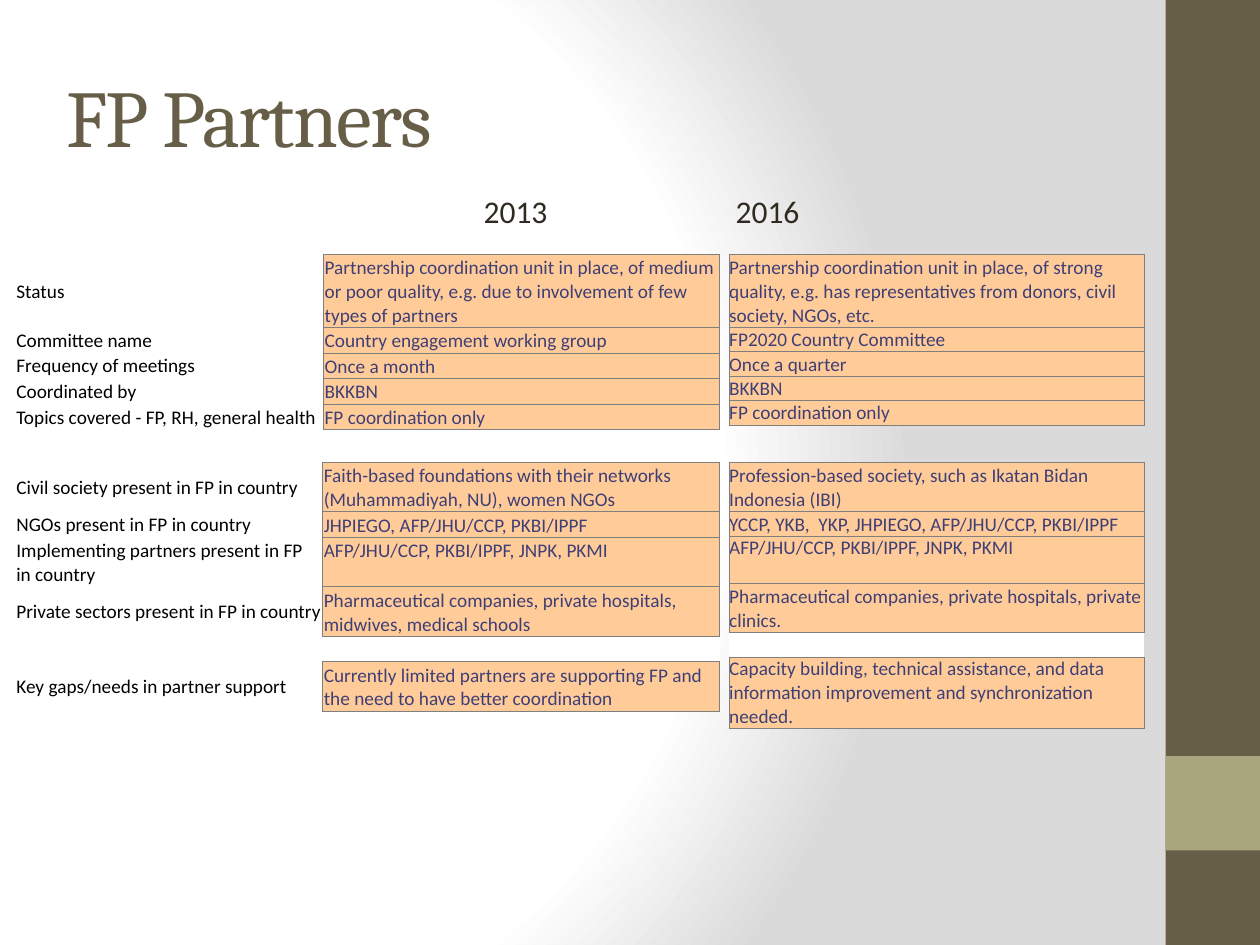
from dataclasses import dataclass

from lxml import etree
from pptx import Presentation
from pptx.dml.color import RGBColor
from pptx.enum.shapes import MSO_SHAPE
from pptx.enum.text import MSO_ANCHOR
from pptx.util import Pt

RECT = MSO_SHAPE.RECTANGLE
TOP, MIDDLE, BOTTOM = MSO_ANCHOR.TOP, MSO_ANCHOR.MIDDLE, MSO_ANCHOR.BOTTOM
NS_A = "http://schemas.openxmlformats.org/drawingml/2006/main"
NS_P = "http://schemas.openxmlformats.org/presentationml/2006/main"
NO_STYLE = "{2D5ABB26-0587-4C30-8999-92F81FD0307C}"


@dataclass(frozen=True)
class Theme:
    heading: str = "Cambria"
    body: str = "Calibri"
    title_size: float = 46
    year_size: float = 18
    cell_size: float = 11
    brown: str = "675E47"
    olive: str = "A9A57C"
    dark: str = "2F2B20"
    label: str = "000000"
    answer: str = "3F3F76"
    peach: str = "FFCC99"
    white: str = "FFFFFF"
    grey: str = "DADADA"
    border: str = "7F7F7F"


T = Theme()

# Each row: label, 2013 answer, 2016 answer; None is the gap row
COORDINATION = [
    ("Status",
     "Partnership coordination unit in place, of medium or poor quality, "
     "e.g. due to involvement of few types of partners",
     "Partnership coordination unit in place, of strong quality, "
     "e.g. has representatives from donors, civil society, NGOs, etc."),
    ("Committee name", "Country engagement working group", "FP2020 Country Committee"),
    ("Frequency of meetings", "Once a month", "Once a quarter"),
    ("Coordinated by", "BKKBN", "BKKBN"),
    ("Topics covered - FP, RH, general health",
     "FP coordination only", "FP coordination only"),
]
PARTNERS = [
    ("Civil society present in FP in country",
     "Faith-based foundations with their networks (Muhammadiyah, NU), women NGOs",
     "Profession-based society, such as Ikatan Bidan Indonesia (IBI)"),
    ("NGOs present in FP in country",
     "JHPIEGO, AFP/JHU/CCP, PKBI/IPPF",
     "YCCP, YKB,  YKP, JHPIEGO, AFP/JHU/CCP, PKBI/IPPF"),
    ("Implementing partners present in FP in country",
     "AFP/JHU/CCP, PKBI/IPPF, JNPK, PKMI",
     "AFP/JHU/CCP, PKBI/IPPF, JNPK, PKMI"),
    ("Private sectors present in FP in country",
     "Pharmaceutical companies, private hospitals, midwives, medical schools",
     "Pharmaceutical companies, private hospitals, private clinics."),
    (None, None, None),
    ("Key gaps/needs in partner support",
     "Currently limited partners are supporting FP and the need to have better coordination",
     "Capacity building, technical assistance, and data information "
     "improvement and synchronization needed."),
]
TOP_ALIGNED_ROW = PARTNERS[2]


def rgb(color):
    return RGBColor.from_string(color)


def set_background(s):
    stops = "".join(
        f'<a:gs pos="{pos * 1000}"><a:srgbClr val="{color}"/></a:gs>'
        for pos, color in ((0, T.white), (75, T.white), (100, T.grey)))
    bg = etree.fromstring(
        f'<p:bg xmlns:p="{NS_P}" xmlns:a="{NS_A}"><p:bgPr><a:gradFill rotWithShape="1">'
        f'<a:gsLst>{stops}</a:gsLst><a:path path="circle">'
        '<a:fillToRect l="20000" t="50000" r="100000" b="50000"/></a:path>'
        '</a:gradFill><a:effectLst/></p:bgPr></p:bg>')
    s._element.cSld.insert(0, bg)


def add_block(s, x, y, w, h, color):
    sp = s.shapes.add_shape(RECT, Pt(x), Pt(y), Pt(w), Pt(h))
    sp.shadow.inherit = False
    sp.fill.solid()
    sp.fill.fore_color.rgb = rgb(color)
    sp.line.fill.background()


def add_run(p, text, font, size, color):
    r = p.add_run()
    r.text = text
    r.font.name, r.font.size = font, Pt(size)
    r.font.color.rgb = rgb(color)
    return r


def add_text(s, x, y, w, h, text, font, size, color, anchor=TOP):
    tf = s.shapes.add_textbox(Pt(x), Pt(y), Pt(w), Pt(h)).text_frame
    tf.word_wrap = True
    tf.vertical_anchor = anchor
    return add_run(tf.paragraphs[0], text, font, size, color)


def set_borders(cell, sides):
    tc_pr = cell._tc.get_or_add_tcPr()
    for i, side in enumerate(sides):
        ln = etree.fromstring(
            f'<a:ln{side} xmlns:a="{NS_A}" w="6350"><a:solidFill>'
            f'<a:srgbClr val="{T.border}"/></a:solidFill></a:ln{side}>')
        tc_pr.insert(i, ln)


def fill_cell(cell, text, is_label, inset, anchor):
    cell.margin_left = cell.margin_right = cell.margin_top = Pt(inset)
    cell.margin_bottom = Pt(0)
    cell.vertical_anchor = anchor
    cell.fill.solid()
    cell.fill.fore_color.rgb = rgb(T.white if is_label or text is None else T.peach)
    p = cell.text_frame.paragraphs[0]
    if text is None:
        p._p.get_or_add_endParaRPr().set("sz", str(T.cell_size * 100))
    else:
        add_run(p, text, T.body, T.cell_size, T.label if is_label else T.answer)
    if not is_label:
        set_borders(cell, "TB" if text is None else "LRTB")


def add_grid(s, x, y, widths, heights, rows, columns, inset):
    """Draw the chosen columns of rows; column 0 holds the labels."""
    frame = s.shapes.add_table(len(rows), len(columns), Pt(x), Pt(y),
                               Pt(sum(widths)), Pt(sum(heights)))
    tbl = frame.table
    tbl.first_row = tbl.horz_banding = False
    tbl._tbl.tblPr.find(f"{{{NS_A}}}tableStyleId").text = NO_STYLE
    for col, w in zip(tbl.columns, widths):
        col.width = Pt(w)
    for i, (row, h) in enumerate(zip(rows, heights)):
        tbl.rows[i].height = Pt(h)
        for j, column in enumerate(columns):
            is_label = column == 0
            anchor = MIDDLE if is_label else TOP if row is TOP_ALIGNED_ROW else BOTTOM
            fill_cell(tbl.cell(i, j), row[column], is_label, inset, anchor)


def main():
    prs = Presentation()
    prs.slide_width, prs.slide_height = Pt(720), Pt(540)
    s = prs.slides.add_slide(prs.slide_layouts[6])

    # Background and side band
    set_background(s)
    add_block(s, 666, 0, 54, 540, T.brown)
    add_block(s, 666, 432, 54, 54, T.olive)

    # Title
    r = add_text(s, 31, 21, 600, 90, "FP Partners", T.heading, T.title_size, T.brown, MIDDLE)
    r._r.get_or_add_rPr().set("spc", "-100")

    # Labels with 2013 answers on the left, 2016 answers on the right
    left, right = (0, 1), (2,)
    add_grid(s, 8.6, 145.3, (176.2, 226.4), [41.8] + [14.6] * 4, COORDINATION, left, 0.75)
    add_grid(s, 416.7, 145.3, (237.2,), [41.8] + [14] * 4, COORDINATION, right, 0)
    add_grid(s, 8.6, 264.2, (175.7, 226.9), (28.3, 14.6, 28.3, 28.3, 14.3, 28.5),
             PARTNERS, left, 0.75)
    add_grid(s, 416.7, 264.2, (237.2,), (28.3, 14, 27.1, 27.8, 14.2, 40.6),
             PARTNERS, right, 0)

    # Year headings
    add_text(s, 269.3, 106, 351.4, 29, "2013\t\t\t2016", T.body, T.year_size, T.dark)

    prs.save("out.pptx")


if __name__ == "__main__":
    main()
